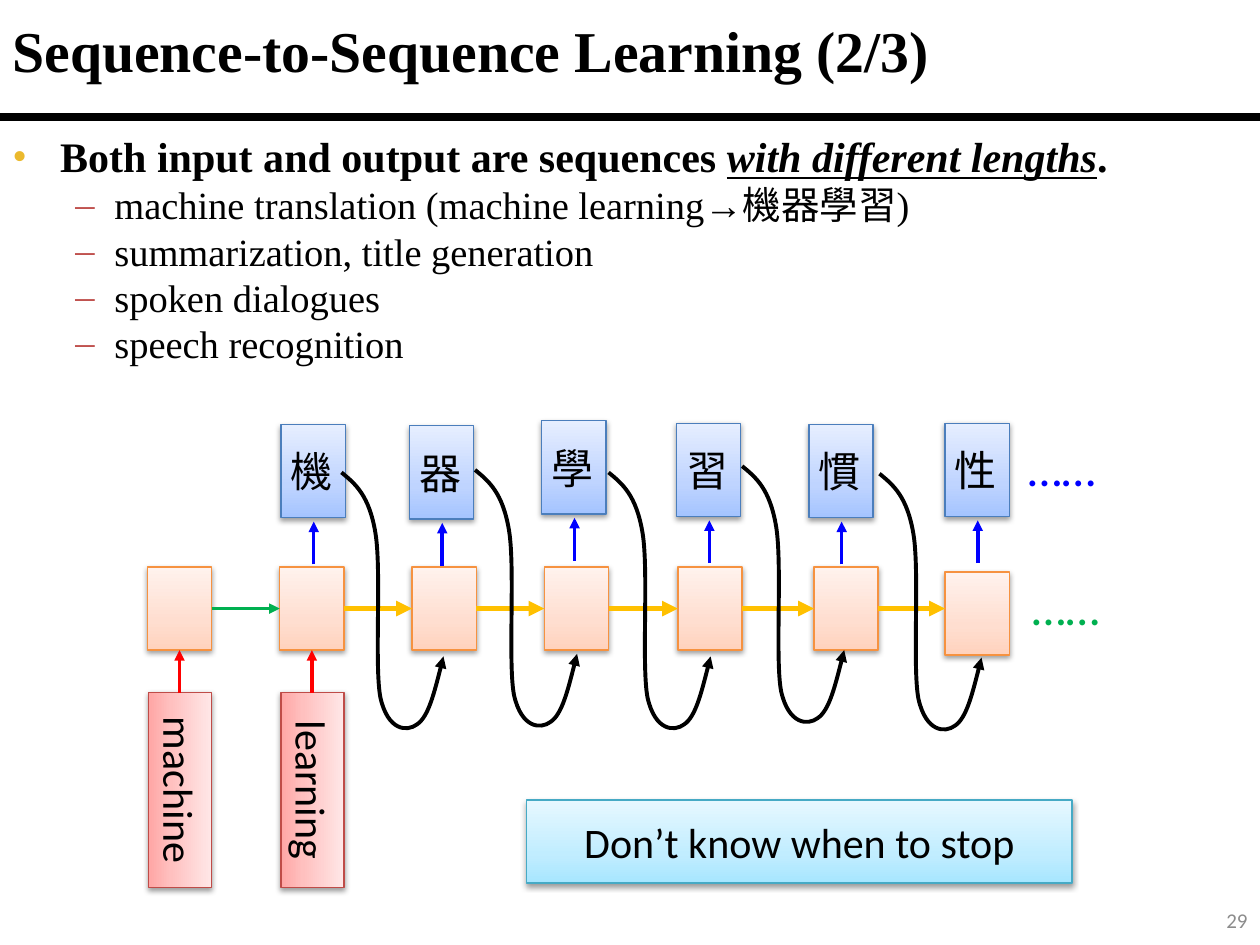
from copy import deepcopy

from lxml import etree
from pptx import Presentation
from pptx import util as u
from pptx.dml.color import RGBColor
from pptx.enum import shapes, text
from pptx.oxml.ns import qn

BLACK = RGBColor(0, 0, 0)
BLUE = RGBColor(0, 0, 0xFF)
RED = RGBColor(0xFF, 0, 0)
GREEN = RGBColor(0, 0xB0, 0x50)
AMBER = RGBColor(0xFF, 0xC0, 0)
GRAY = RGBColor(0x8C, 0x8C, 0x8C)
BULLET_GOLD = RGBColor(0xEB, 0xB9, 0x2D)
BULLET_RED = RGBColor(0xC0, 0x50, 0x4D)


def shades(*codes):
    """Return the colours of a three-stop gradient and its outline."""
    return [RGBColor.from_string(code) for code in codes]


ROSE = shades("FFA6A5", "FFC0BF", "FFE7E7", "BF4C48")
PEACH = shades("FFD2BD", "FFDED0", "FFF2ED", "F69240")
SKY = shades("A4C4FF", "BFD4FF", "E6EEFF", "4B7EBC")
AQUA = shades("A7E6FF", "C1EDFF", "E7F8FF", "46AAC5")

SERIF, SANS = "Times New Roman", "Calibri"
CELL_W, CELL_H, TOKEN_H = 0.51, 0.66, 0.74
CELLS = [(1.17, 4.5), (2.22, 4.5), (3.27, 4.5), (4.32, 4.5),
         (5.38, 4.5), (6.46, 4.5), (7.5, 4.54)]
TOKENS = [("機", 2.23, 3.37), ("器", 3.25, 3.38), ("學", 4.3, 3.34),
          ("習", 5.37, 3.36), ("慣", 6.42, 3.37), ("性", 7.5, 3.36)]
LOOP_STARTS = [(2.71, 3.75), (3.77, 3.73), (4.83, 3.75), (5.89, 3.7), (6.98, 3.76)]
LOOP = [(0, 0), (0.11, 0.09), (0.22, 0.18), (0.27, 0.48),
        (0.32, 0.78), (0.26, 1.54), (0.31, 1.79),
        (0.37, 2.05), (0.52, 2.06), (0.6, 2),
        (0.69, 1.94), (0.75, 1.7), (0.81, 1.46)]
TASKS = ["machine translation (machine learning→機器學習)",
         "summarization, title generation", "spoken dialogues", "speech recognition"]


def inches(*values):
    """Convert several numbers to lengths."""
    return [u.Inches(value) for value in values]


def add_run(paragraph, words, size, font=SANS, color=BLACK, bold=False):
    """Append a formatted run and return it."""
    run = paragraph.add_run()
    run.text = words
    run.font.size, run.font.name, run.font.bold = u.Pt(size), font, bold
    run.font.color.rgb = color
    return run


def add_label(slide, box, words, size, color=BLACK, font=SANS, bold=False,
              align=text.PP_ALIGN.LEFT, anchor=text.MSO_ANCHOR.MIDDLE):
    """Place one line of text in a box."""
    frame = slide.shapes.add_textbox(*inches(*box)).text_frame
    frame.word_wrap, frame.vertical_anchor = True, anchor
    frame.paragraphs[0].alignment = align
    add_run(frame.paragraphs[0], words, size, font, color, bold)


def add_block(slide, box, palette, words=""):
    """Place a shaded rectangle with a soft shadow and centred words."""
    block = slide.shapes.add_shape(shapes.MSO_SHAPE.RECTANGLE, *inches(*box))
    block.fill.gradient()
    block.fill.gradient_angle = 90
    stops = block._element.spPr.find(qn("a:gradFill")).find(qn("a:gsLst"))
    stops.insert(1, deepcopy(stops[0]))
    for stop, position, color in zip(block.fill.gradient_stops, (0, 0.35, 1), palette):
        stop.position, stop.color.rgb = position, color
    block.line.color.rgb, block.line.width = palette[3], u.Pt(0.75)
    block.shadow.inherit = False
    effects = block._element.spPr.find(qn("a:effectLst"))
    shadow = etree.SubElement(effects, qn("a:outerShdw"), blurRad="40000",
                              dist="20000", dir="5400000", rotWithShape="0")
    tint = etree.SubElement(shadow, qn("a:srgbClr"), val="000000")
    etree.SubElement(tint, qn("a:alpha"), val="38000")
    if words:
        frame = block.text_frame
        frame.vertical_anchor = text.MSO_ANCHOR.MIDDLE
        frame.paragraphs[0].alignment = text.PP_ALIGN.CENTER
        add_run(frame.paragraphs[0], words, 24)
    return block


def style_line(line, color, width, arrow=True):
    """Set colour, width and arrowhead of a line."""
    line.color.rgb, line.width = color, u.Pt(width)
    if arrow:
        etree.SubElement(line._get_or_add_ln(), qn("a:tailEnd"), type="triangle")


def add_line(slide, ends, color, width, arrow=True):
    """Draw a straight line between two points."""
    link = slide.shapes.add_connector(shapes.MSO_CONNECTOR.STRAIGHT, *inches(*ends))
    style_line(link.line, color, width, arrow)
    etree.SubElement(link._element.spPr, qn("a:effectLst"))
    return link


def add_loop(slide, left, top):
    """Draw the curved arrow that feeds an output to the next cell."""
    trail = [tuple(inches(left + x, top + y)) for x, y in LOOP]
    builder = slide.shapes.build_freeform(*trail[0])
    builder.add_line_segments(trail[1:], close=False)
    loop = builder.convert_to_shape()
    outline = next(loop._element.iter(qn("a:path")))
    segments = outline.findall(qn("a:lnTo"))
    for first in range(0, len(segments), 3):
        curve = etree.SubElement(outline, qn("a:cubicBezTo"))
        for segment in segments[first:first + 3]:
            curve.append(segment[0])
            outline.remove(segment)
    loop.fill.background()
    loop.shadow.inherit = False
    style_line(loop.line, BLACK, 2.25)


def add_heading(slide, left, top, width):
    """Place the title and the rule below it."""
    add_label(slide, (left, top, width, 0.79), "Sequence-to-Sequence Learning (2/3)",
              33, font=SERIF, bold=True)
    add_line(slide, (left, top + 0.93, left + width, top + 0.93), BLACK, 4.5, arrow=False)


def set_bullet(paragraph, mark, color, margin, hang):
    """Give a paragraph a coloured bullet and a hanging indent."""
    props = paragraph._p.get_or_add_pPr()
    props.set("marL", str(u.Inches(margin)))
    props.set("indent", str(-u.Inches(hang)))
    tint = etree.SubElement(props, qn("a:buClr"))
    etree.SubElement(tint, qn("a:srgbClr"), val=str(color))
    etree.SubElement(props, qn("a:buFont"), typeface=SERIF)
    etree.SubElement(props, qn("a:buChar"), char=mark)


def add_points(slide, box):
    """Place the main statement and the list of tasks."""
    frame = slide.shapes.add_textbox(*inches(*box)).text_frame
    frame.word_wrap = True
    statement = frame.paragraphs[0]
    statement.space_before = u.Pt(3.6)
    set_bullet(statement, "•", BULLET_GOLD, 0.38, 0.38)
    add_run(statement, "Both input and output are sequences ", 24, SERIF, bold=True)
    stress = add_run(statement, "with different lengths", 24, SERIF, bold=True)
    stress.font.italic = stress.font.underline = True
    add_run(statement, ".", 24, SERIF, bold=True)
    for words in TASKS:
        task = frame.add_paragraph()
        task.level, task.space_before = 1, u.Pt(0)
        set_bullet(task, "–", BULLET_RED, 0.81, 0.31)
        add_run(task, words, 22, SERIF)


def add_network(slide):
    """Place the input words, cells, output tokens and arrows."""
    cells = [add_block(slide, (x, y, CELL_W, CELL_H), PEACH) for x, y in CELLS]
    for cell, (x, y), words in zip(cells, CELLS, ("machine", "learning")):
        middle = x + CELL_W / 2
        block = add_block(slide, (middle - 0.77, 6.02, 1.55, 0.5), ROSE, words)
        block.rotation = 90
        feed = add_line(slide, (middle, 5.5, middle, y + CELL_H), RED, 2)
        feed.end_connect(cell, 2)
    for index, (cell, follower) in enumerate(zip(cells, cells[1:])):
        color, width = (AMBER, 3) if index else (GREEN, 2)
        y = CELLS[index][1] + CELL_H / 2
        step = add_line(slide, (CELLS[index][0] + CELL_W, y, CELLS[index + 1][0], y),
                        color, width)
        step.begin_connect(cell, 3)
        if follower.top == cell.top:
            step.end_connect(follower, 1)
    for words, x, y in TOKENS:
        add_block(slide, (x, y, CELL_W, TOKEN_H), SKY)
        add_label(slide, (x - 0.1, y + 0.12, 0.69, 0.5), words, 24,
                  align=text.PP_ALIGN.CENTER, anchor=text.MSO_ANCHOR.TOP)
        add_line(slide, (x + 0.26, y + 1.11, x + 0.26, y + 0.77), BLUE, 2)
    for start in LOOP_STARTS:
        add_loop(slide, *start)
    for x, y, color in ((8.09, 4.53, GREEN), (8.06, 3.42, BLUE)):
        add_label(slide, (x, y, 1.21, 0.57), "……", 28, color, anchor=text.MSO_ANCHOR.TOP)


def main():
    """Build the slide and save it."""
    deck = Presentation()
    deck.slide_width, deck.slide_height = inches(10, 7.5)
    slide = deck.slides.add_slide(deck.slide_layouts[6])
    add_heading(slide, 0, 0, 10)
    add_points(slide, (0, 0.99, 10, 2.12))
    add_network(slide)
    add_block(slide, (4.18, 6.35, 4.33, 0.66), AQUA, "Don’t know when to stop")
    add_label(slide, (7.75, 7.1, 2.25, 0.4), "29", 12, GRAY, align=text.PP_ALIGN.RIGHT)
    deck.save("out.pptx")


if __name__ == "__main__":
    main()
